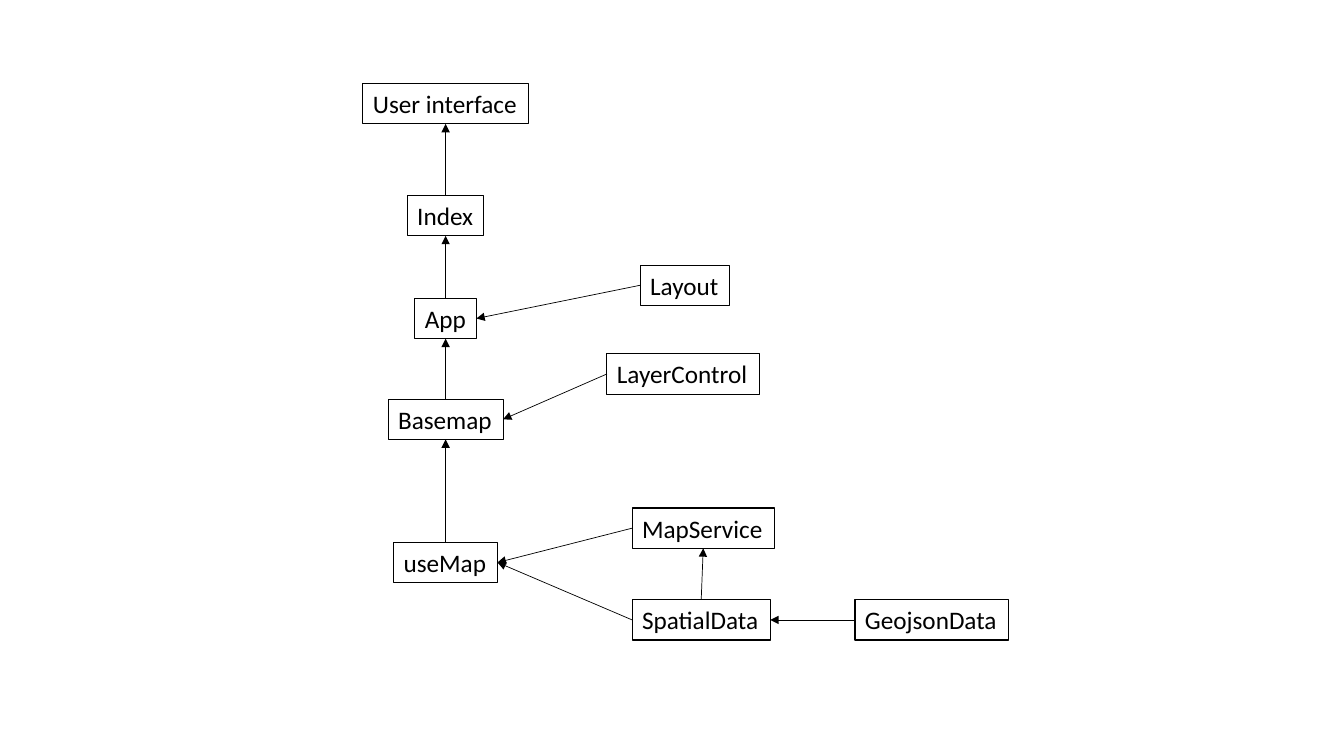
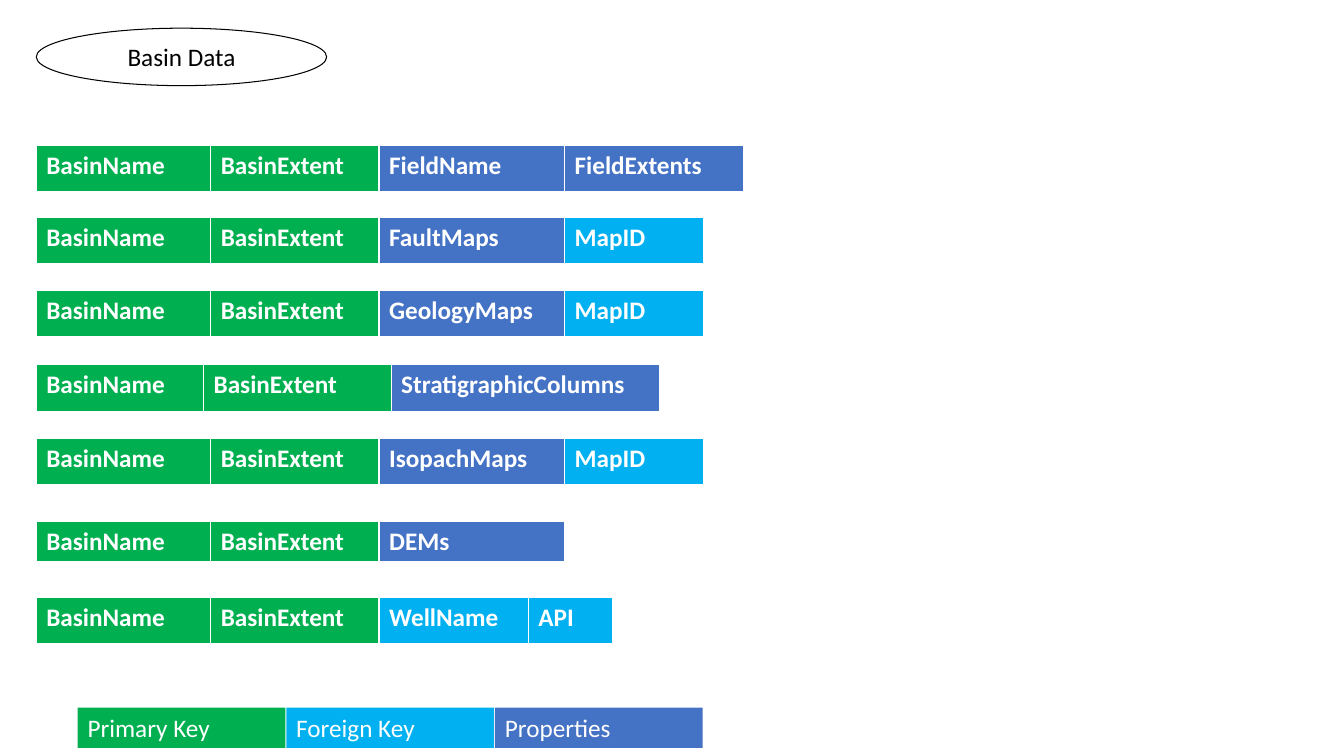
from itertools import groupby

from pptx import Presentation
from pptx import util as u
from pptx.dml.color import RGBColor
from pptx.enum import shapes, text
from pptx.oxml import parse_xml
from pptx.oxml.ns import nsdecls

PX = 9144  # 100 px to the inch
FONT, SIZE = "Calibri", 18
COLORS = {
    "ink": "000000",
    "paper": "FFFFFF",
    "primary": "00B050",
    "foreign": "00B0F0",
    "property": "4472C4",
}
BOX_H = 40
SPINE_X = 442
TOP, LEFT, BOTTOM, RIGHT = range(4)  # connection sites of a rectangle

# name, top, width
SPINE = [
    ("User interface", 83, 164),
    ("Index", 194, 76),
    ("App", 296, 61),
    ("Basemap", 396, 114),
    ("useMap", 538, 103),
]
# name, left, top, width
BRANCHES = [
    ("Layout", 635, 263, 89),
    ("LayerControl", 602, 351, 151),
    ("MapService", 627, 504, 141),
    ("SpatialData", 627, 595, 137),
    ("GeojsonData", 848, 595, 152),
]
SIDE_LINKS = [
    ("Layout", "App"),
    ("LayerControl", "Basemap"),
    ("MapService", "useMap"),
    ("SpatialData", "useMap"),
    ("GeojsonData", "SpatialData"),
]

MARGIN = 36
KEYS = [("BasinName", 173, "primary"), ("BasinExtent", 167, "primary")]
MAP_ID = ("MapID", 138, "foreign")
# top, height, fields as (name, width, kind)
RECORDS = [
    (144, 46, KEYS + [("FieldName", 184, "property"),
                      ("FieldExtents", 178, "property")]),
    (216, 46, KEYS + [("FaultMaps", 184, "property"), MAP_ID]),
    (288, 46, KEYS + [("GeologyMaps", 184, "property"), MAP_ID]),
    (362, 46, [("BasinName", 166, "primary"),
               ("BasinExtent", 186, "primary"),
               ("StratigraphicColumns", 266, "property")]),
    (435, 46, KEYS + [("IsopachMaps", 184, "property"), MAP_ID]),
    (517, 40, KEYS + [("DEMs", 184, "property")]),
    (593, 46, KEYS + [("WellName", 148, "foreign"), ("API", 84, "foreign")]),
]
LEGEND = [
    ("Primary Key", "primary"),
    ("Foreign Key", "foreign"),
    ("Properties", "property"),
]


def px(*vals):
    return [u.Emu(v * PX) for v in vals]


def rgb(name):
    return RGBColor.from_string(COLORS[name])


def write(frame, words, color, bold=False):
    frame.text = words
    font = frame.paragraphs[0].runs[0].font
    font.name, font.size, font.bold = FONT, u.Pt(SIZE), bold
    font.color.rgb = rgb(color)


def outline(shape, width=0.75):
    shape.line.color.rgb = rgb("ink")
    shape.line.width = u.Pt(width)


def label(slide, words, x, y, w, color="ink", fill=None):
    """Add a one-line text box, filled or else outlined."""
    box = slide.shapes.add_textbox(*px(x, y, w, BOX_H))
    frame = box.text_frame
    write(frame, words, color)
    frame.word_wrap = fill is not None
    frame.auto_size = text.MSO_AUTO_SIZE.SHAPE_TO_FIT_TEXT
    if fill:
        box.fill.solid()
        box.fill.fore_color.rgb = rgb(fill)
    else:
        outline(box)
    return box


def arrow(slide, start, site, end, goal):
    """Join a site of one box to a site of another, head at the end."""
    line = slide.shapes.add_connector(
        shapes.MSO_CONNECTOR.STRAIGHT, 0, 0, 0, 0)
    line.begin_connect(start, site)
    line.end_connect(end, goal)
    outline(line, 0.5)
    line.line._get_or_add_ln().append(
        parse_xml(f'<a:tailEnd {nsdecls("a")} type="triangle"/>'))
    line._element.spPr.append(parse_xml(f'<a:effectLst {nsdecls("a")}/>'))


def oval(slide, words, x, y, w, h):
    shape = slide.shapes.add_shape(shapes.MSO_SHAPE.OVAL, *px(x, y, w, h))
    shape.shadow.inherit = False
    shape.fill.background()
    outline(shape)
    write(shape.text_frame, words, "ink")
    shape.text_frame.paragraphs[0].alignment = text.PP_ALIGN.CENTER


def strip(slide, x, y, h, fields):
    """Add a one-row table and return its right edge."""
    width = sum(w for _, w, _ in fields)
    table = slide.shapes.add_table(
        1, len(fields), *px(x, y, width, h)).table
    for i, (name, w, kind) in enumerate(fields):
        table.columns[i].width = u.Emu(w * PX)
        cell = table.cell(0, i)
        cell.fill.solid()
        cell.fill.fore_color.rgb = rgb(kind)
        write(cell.text_frame, name, "paper", bold=True)
    return x + width


def modules(slide):
    boxes = {}
    for name, y, w in SPINE:
        boxes[name] = label(slide, name, SPINE_X - w / 2, y, w)
    for name, x, y, w in BRANCHES:
        boxes[name] = label(slide, name, x, y, w)
    names = [name for name, _, _ in SPINE]
    rises = list(zip(names[1:], names)) + [("SpatialData", "MapService")]
    for low, high in rises:
        arrow(slide, boxes[low], TOP, boxes[high], BOTTOM)
    for start, end in SIDE_LINKS:
        arrow(slide, boxes[start], LEFT, boxes[end], RIGHT)


def basins(slide):
    oval(slide, "Basin Data", MARGIN, 28, 288, 57)
    for y, h, fields in RECORDS:
        x = MARGIN
        for _, group in groupby(fields, lambda f: f[2] == "foreign"):
            x = strip(slide, x, y, h, list(group))
    for i, (words, kind) in enumerate(LEGEND):
        label(slide, words, 77 + 207 * i, 702, 206, "paper", kind)


def main():
    deck = Presentation()
    deck.slide_width, deck.slide_height = px(1333, 750)
    for draw in (modules, basins):
        draw(deck.slides.add_slide(deck.slide_layouts[6]))
    deck.save("out.pptx")


if __name__ == "__main__":
    main()
